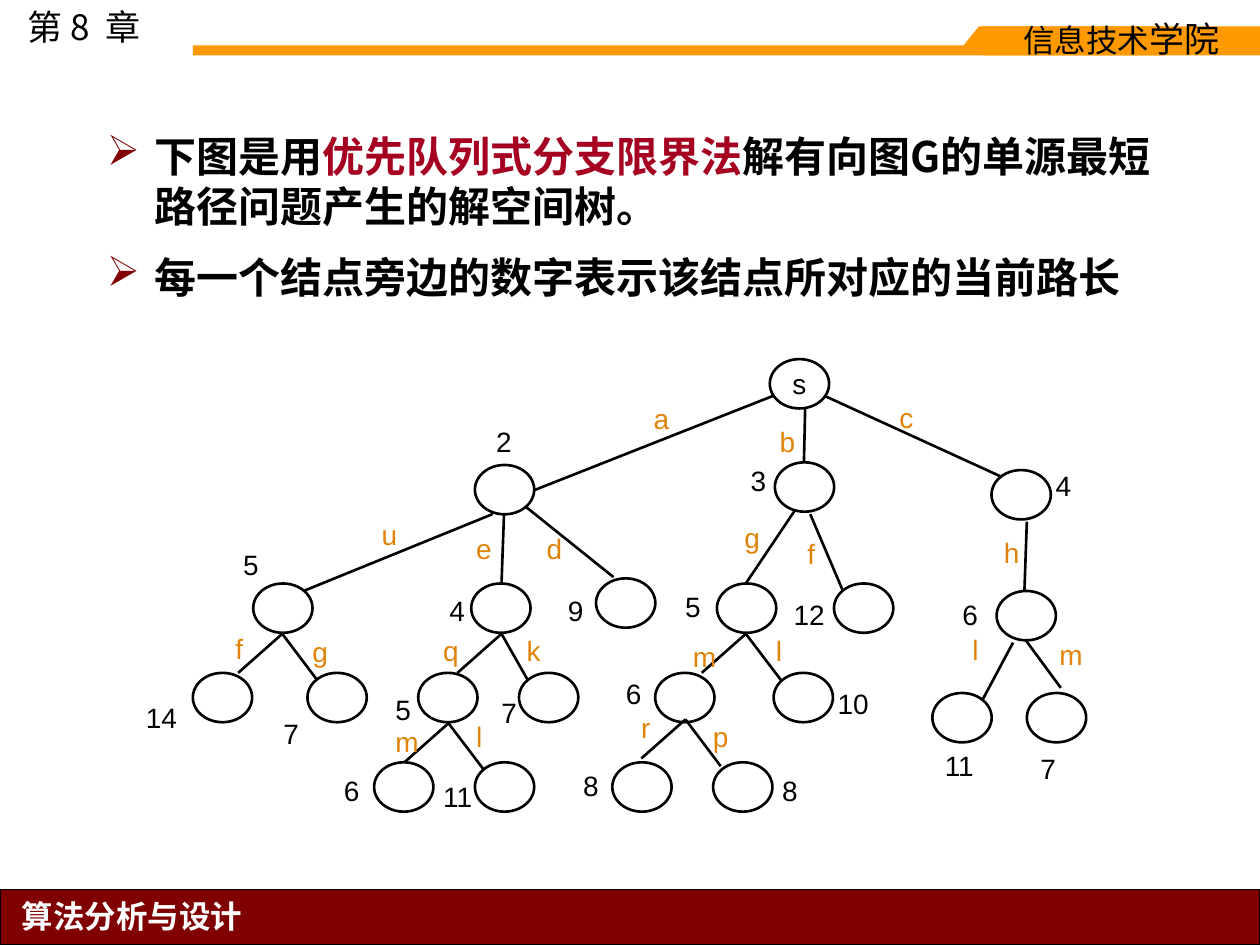
from dataclasses import dataclass

from lxml import etree
from pptx import Presentation
from pptx.dml.color import RGBColor
from pptx.enum.shapes import MSO_CONNECTOR, MSO_SHAPE
from pptx.enum.text import MSO_ANCHOR, PP_ALIGN
from pptx.oxml.ns import qn
from pptx.util import Pt

RECTANGLE, OVAL = MSO_SHAPE.RECTANGLE, MSO_SHAPE.OVAL
STRAIGHT = MSO_CONNECTOR.STRAIGHT
LEFT, CENTER = PP_ALIGN.LEFT, PP_ALIGN.CENTER
TOP, MIDDLE = MSO_ANCHOR.TOP, MSO_ANCHOR.MIDDLE

BLACK, WHITE, ORANGE = "000000", "FFFFFF", "FF9900"
MAROON, CRIMSON, AMBER = "800000", "A50021", "DF8309"
CJK_FONT, HEADER_FONT, TREE_FONT = "Noto Sans CJK SC", "DejaVu Sans", "Arial"
NODE_WIDTH, NODE_HEIGHT = 33.9, 28.2
LABEL_HEIGHT = 26.6


@dataclass
class Node:
    left: float
    top: float
    distance: str
    label_left: float
    label_top: float


@dataclass
class Branch:
    start: tuple[float, float]
    end: tuple[float, float]
    letter: str
    label_left: float
    label_top: float


ROOT = (439.9, 205.2)

NODES = [
    # First level
    Node(271.4, 265.7, "2", 276.5, 239),
    Node(442.8, 264.2, "3", 421.9, 261.4),
    Node(566.6, 268.6, "4", 596.2, 264.2),
    # Second level
    Node(144.7, 333.4, "5", 131.8, 309.6),
    Node(269.3, 333.4, "4", 249.8, 335.5),
    Node(340.6, 330.5, "9", 317.5, 335.5),
    Node(409.7, 333.4, "5", 384.5, 333.4),
    Node(476.6, 333.4, "12", 446.4, 337.7),
    Node(569.5, 337.7, "6", 542.9, 337.7),
    # Third level
    Node(110.2, 384.5, "14", 76.3, 396.7),
    Node(175.7, 384.5, "7", 154.8, 406.1),
    Node(239, 384.5, "5", 218.9, 392.4),
    Node(296.6, 384.5, "7", 279.4, 393.8),
    Node(374.4, 384.5, "6", 350.6, 383),
    Node(442.1, 384.5, "10", 471.6, 388.8),
    Node(532.8, 396, "11", 532.8, 424.1),
    Node(586.8, 396, "7", 587.5, 426.2),
    # Fourth level
    Node(213.8, 435.6, "6", 189.4, 438.5),
    Node(271.4, 435.6, "11", 246.2, 442.1),
    Node(349.9, 435.6, "8", 326.2, 435.6),
    Node(407.5, 435.6, "8", 439.9, 438.5),
]

BRANCHES = [
    # To the first level
    Branch((442.1, 226.1), (305.3, 280.1), "a", 366.5, 226.1),
    Branch((460.1, 233.3), (459.4, 264.2), "b", 438.5, 239),
    Branch((470.9, 226.1), (571.7, 272.2), "c", 506.9, 225.4),
    # To the second level
    Branch((281.5, 293.8), (173.5, 337.7), "u", 211, 292.3),
    Branch((288, 293.8), (286.6, 333.4), "e", 265, 300.2),
    Branch((300.2, 289.4), (350.6, 329.8), "d", 305.3, 300.2),
    Branch((454.3, 291.6), (426.2, 333.4), "g", 418.3, 293.8),
    Branch((463, 293.8), (481.7, 337.7), "f", 454.3, 303.1),
    Branch((586.8, 298.1), (585.4, 337.7), "h", 566.6, 302.4),
    # To the third level
    Branch((161.3, 362.2), (136.1, 384.5), "f", 127.4, 357.1),
    Branch((161.3, 362.2), (181.4, 388.8), "g", 171.4, 359.3),
    Branch((286.6, 362.2), (261.4, 384.5), "q", 246.2, 358.6),
    Branch((286.6, 362.2), (301.7, 388.8), "k", 293.8, 358.6),
    Branch((426.2, 362.2), (401, 384.5), "m", 388.8, 362.2),
    Branch((426.2, 362.2), (446.4, 388.8), "l", 436.3, 358.6),
    Branch((578.9, 367.2), (561.6, 399.6), "l", 548.6, 357.8),
    Branch((586.1, 365.8), (606.2, 393.1), "m", 598.3, 360.7),
    # To the fourth level
    Branch((256.3, 413.3), (231.1, 435.6), "m", 218.9, 410.4),
    Branch((256.3, 413.3), (276.5, 439.9), "l", 265, 407.5),
    Branch((391.7, 411.1), (366.5, 433.4), "r", 359.3, 402.5),
    Branch((391.7, 411.1), (411.8, 437.8), "p", 400.3, 407.5),
]


def paint(color_format, color: str) -> None:
    color_format.rgb = RGBColor.from_string(color)


def style_shape(shape, fill: str | None, line: str | None = None, width: float = 0.75) -> None:
    shape.shadow.inherit = False
    if fill:
        shape.fill.solid()
        paint(shape.fill.fore_color, fill)
    else:
        shape.fill.background()
    if line:
        paint(shape.line.color, line)
        shape.line.width = Pt(width)
    else:
        shape.line.fill.background()


def add_shape(slide, kind, left: float, top: float, width: float, height: float,
              fill: str | None, line: str | None = None, line_width: float = 0.75):
    shape = slide.shapes.add_shape(kind, Pt(left), Pt(top), Pt(width), Pt(height))
    style_shape(shape, fill, line, line_width)
    return shape


def style_paragraph(paragraph, font: str, size: float, color: str,
                    bold: bool = False, align=LEFT) -> None:
    paragraph.alignment = align
    paragraph.font.name = font
    paragraph.font.size = Pt(size)
    paragraph.font.bold = bold
    paint(paragraph.font.color, color)
    properties = paragraph._p.pPr.find(qn("a:defRPr"))
    etree.SubElement(properties, qn("a:ea")).set("typeface", font)


def add_text(slide, text: str, left: float, top: float, width: float, height: float,
             font: str, size: float, color: str, bold: bool = False, align=LEFT):
    box = slide.shapes.add_textbox(Pt(left), Pt(top), Pt(width), Pt(height))
    box.text_frame.word_wrap = True
    paragraph = box.text_frame.paragraphs[0]
    paragraph.text = text
    style_paragraph(paragraph, font, size, color, bold, align)
    return paragraph


def add_bullet(paragraph, symbol: str, color: str, indent: float) -> None:
    properties = paragraph._p.get_or_add_pPr()
    properties.set("marL", str(Pt(indent)))
    properties.set("indent", str(-Pt(indent)))
    bullet_color = etree.SubElement(properties, qn("a:buClr"))
    etree.SubElement(bullet_color, qn("a:srgbClr")).set("val", color)
    etree.SubElement(properties, qn("a:buChar")).set("char", symbol)


def add_tree_label(slide, text: str, left: float, top: float, color: str) -> None:
    width = 24.5 if len(text) == 1 else 35.3
    add_text(slide, text, left, top, width, LABEL_HEIGHT, TREE_FONT, 16, color)


def add_node(slide, left: float, top: float):
    return add_shape(slide, OVAL, left, top, NODE_WIDTH, NODE_HEIGHT, None, BLACK, 1.5)


def add_branch(slide, branch: Branch) -> None:
    points = [Pt(value) for value in branch.start + branch.end]
    connector = slide.shapes.add_connector(STRAIGHT, *points)
    paint(connector.line.color, BLACK)
    connector.line.width = Pt(1.5)
    etree.SubElement(connector._element.spPr, qn("a:effectLst"))
    add_tree_label(slide, branch.letter, branch.label_left, branch.label_top, AMBER)


def add_header(slide) -> None:
    chapter = add_text(slide, "第 8  章", 8.6, 0, 96.5, 31, CJK_FONT, 20, BLACK)
    chapter.line_spacing = Pt(23.8)
    add_shape(slide, RECTANGLE, 110.2, 25.9, 555.8, 5.8, ORANGE)
    add_shape(slide, RECTANGLE, 559.4, 15.1, 106.6, 11.5, ORANGE)
    builder = slide.shapes.build_freeform(Pt(550.1), Pt(26.6), scale=1.0)
    builder.add_line_segments([(Pt(559.4), Pt(26.6)), (Pt(559.4), Pt(15.1))], close=True)
    style_shape(builder.convert_to_shape(), ORANGE)

    school = add_shape(slide, RECTANGLE, 561.6, 15.1, 158.4, 16.6, ORANGE)
    school.text_frame.vertical_anchor = MIDDLE
    paragraph = school.text_frame.paragraphs[0]
    paragraph.line_spacing = 0.9
    style_paragraph(paragraph, HEADER_FONT, 18, BLACK, align=CENTER)
    for text, size in (("信息技术", 18), ("学院", 20)):
        run = paragraph.add_run()
        run.text = text
        run.font.size = Pt(size)


def add_footer(slide) -> None:
    add_shape(slide, RECTANGLE, 0, 508.3, 720, 31.7, MAROON, BLACK)
    course = add_text(slide, "算法分析与设计", 4.3, 509, 142, 28.8,
                      CJK_FONT, 18, WHITE, True, CENTER)
    course.line_spacing = Pt(21.4)


def add_body(slide) -> None:
    body = [
        [("下图是用", BLACK), ("优先队列式分支限界法", CRIMSON),
         ("解有向图G的单源最短路径问题产生的解空间树。", BLACK)],
        [("每一个结点旁边的数字表示该结点所对应的当前路长", BLACK)],
    ]
    frame = slide.shapes.add_textbox(Pt(54), Pt(71.3), Pt(612), Pt(108.7)).text_frame
    frame.word_wrap = True
    frame.vertical_anchor = TOP
    for index, runs in enumerate(body):
        paragraph = frame.add_paragraph() if index else frame.paragraphs[0]
        add_bullet(paragraph, "➢", MAROON, 27)
        style_paragraph(paragraph, CJK_FONT, 24, BLACK, True)
        paragraph.line_spacing = Pt(28.6)
        paragraph.space_before = Pt(12 if index else 0)
        for text, color in runs:
            run = paragraph.add_run()
            run.text = text
            paint(run.font.color, color)


def add_tree(slide) -> None:
    root = add_node(slide, *ROOT)
    root.text_frame.word_wrap = False
    root.text_frame.vertical_anchor = MIDDLE
    root.text_frame.text = "s"
    style_paragraph(root.text_frame.paragraphs[0], TREE_FONT, 16, BLACK, align=CENTER)
    for node in NODES:
        add_node(slide, node.left, node.top)
        add_tree_label(slide, node.distance, node.label_left, node.label_top, BLACK)
    for branch in BRANCHES:
        add_branch(slide, branch)


def main() -> None:
    presentation = Presentation()
    presentation.slide_width, presentation.slide_height = Pt(720), Pt(540)
    slide = presentation.slides.add_slide(presentation.slide_layouts[6])
    add_header(slide)
    add_footer(slide)
    add_body(slide)
    add_tree(slide)
    presentation.save("out.pptx")


if __name__ == "__main__":
    main()
